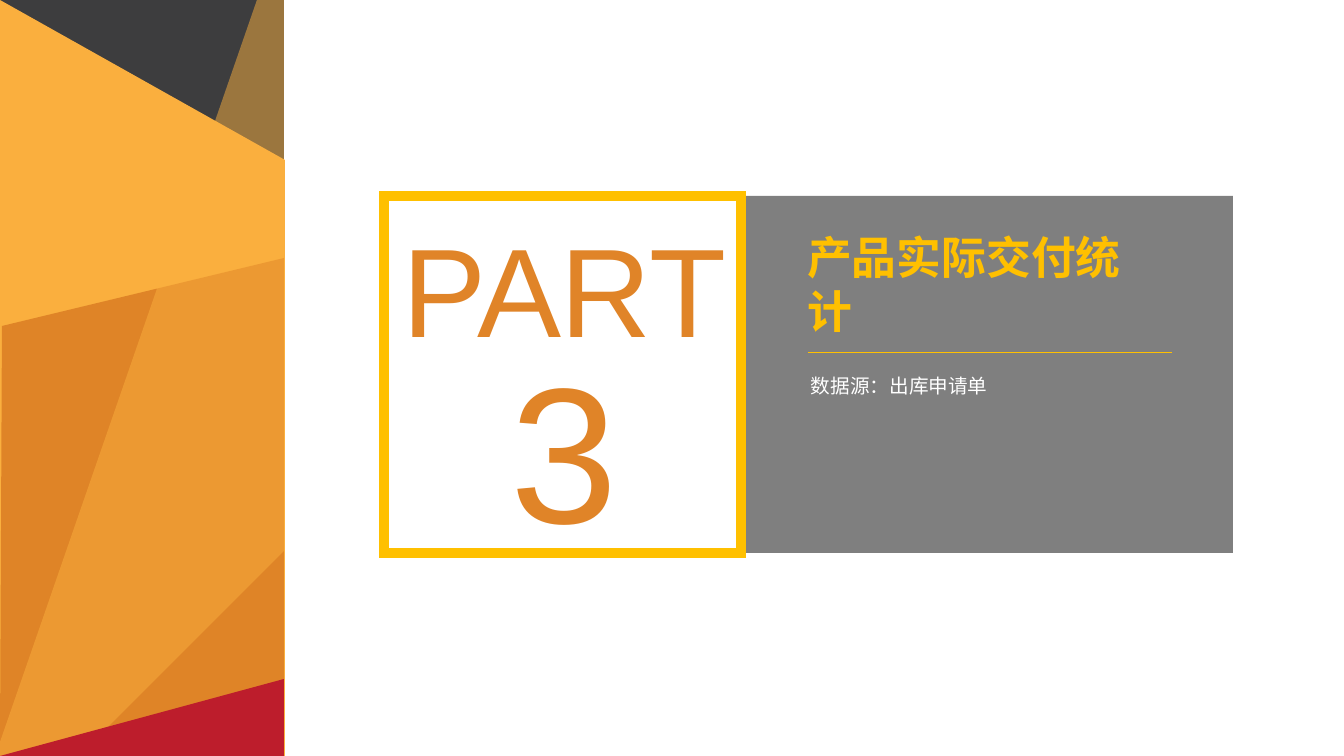
from dataclasses import dataclass

from lxml.etree import SubElement
from pptx import Presentation
from pptx.dml.color import RGBColor as RGB
from pptx.enum.shapes import MSO_CONNECTOR as CONNECTOR, MSO_SHAPE as SHAPE
from pptx.enum.text import MSO_ANCHOR as ANCHOR, MSO_AUTO_SIZE as AUTO, PP_ALIGN as ALIGN
from pptx.oxml.ns import qn
from pptx.util import Pt

PX = 914400 / 100.8  # EMU per pixel


@dataclass(frozen=True)
class Theme:
    """Colours, fonts and type sizes of the slide."""
    charcoal: str = "3D3D3E"
    amber: str = "FAAF3E"
    rust: str = "C55A11"
    crimson: str = "BD1D2C"
    gold: str = "FFC000"
    orange: str = "E08428"
    black: str = "000000"
    white: str = "FFFFFF"
    latin: str = "Arial"
    cjk: str = "Noto Sans CJK SC"
    part_size: int = 90
    number_size: int = 138
    title_size: int = 32
    note_size: int = 14


def paint(sp, color, alpha=100):
    """Fill a shape without line or shadow, at an opacity in percent."""
    sp.shadow.inherit = False
    sp.line.fill.background()
    sp.fill.solid()
    sp.fill.fore_color.rgb = RGB.from_string(color)
    if alpha < 100:
        clr = sp._element.spPr.find(".//" + qn("a:srgbClr"))
        SubElement(clr, qn("a:alpha"), val=str(alpha * 1000))


def write(sp, box, text, font, size, color, align=ALIGN.LEFT, bold=False):
    """Place a text shape, set its one paragraph and return that paragraph."""
    sp.left, sp.top, sp.width, sp.height = [round(v * PX) for v in box]
    tf = sp.text_frame
    tf.word_wrap, tf.auto_size, tf.vertical_anchor = True, AUTO.NONE, ANCHOR.TOP
    p = tf.paragraphs[0]
    p.text, p.alignment = text, align
    p.font.name, p.font.size, p.font.bold = font, Pt(size), bold
    p.font.color.rgb = RGB.from_string(color)
    SubElement(p._p.pPr.find(qn("a:defRPr")), qn("a:ea"), typeface=font)
    return p


theme = Theme()
prs = Presentation()
prs.slide_width, prs.slide_height = round(1344 * PX), round(756 * PX)
slide = prs.slides.add_slide(prs.slide_layouts[5])
shapes = slide.shapes

# Faceted band on the left, back to front
backdrop = shapes.add_shape(SHAPE.RECTANGLE, 0, 0, round(284 * PX), round(269 * PX))
paint(backdrop, theme.charcoal)
facets = [
    ([(0, 0), (285, 160), (285, 756), (0, 756)], theme.amber, 100),
    ([(284, 258), (284, 686), (0, 756), (2, 326)], theme.rust, 50),
    ([(257, 0), (284, 0), (284, 551), (79, 756), (0, 756), (0, 742)], theme.amber, 50),
    ([(0, 756), (284, 679), (284, 756)], theme.crimson, 100),
]
for points, color, alpha in facets:
    builder = shapes.build_freeform(*points[0], scale=PX)
    builder.add_line_segments(points[1:], close=True)
    paint(builder.convert_to_shape(), color, alpha)

# Grey panel with title, rule and data source
panel = shapes.add_shape(SHAPE.RECTANGLE, *[round(v * PX) for v in (741, 196, 492, 357)])
paint(panel, theme.black, 50)

title = shapes.title
shapes._spTree.append(title._element)  # bring the title in front of the panel
write(title, (797, 225, 379, 65), "产品实际交付统计", theme.cjk, theme.title_size,
      theme.gold, bold=True)

rule = shapes.add_connector(CONNECTOR.STRAIGHT, *[round(v * PX) for v in (808, 352, 1172, 352)])
rule.line.color.rgb = RGB.from_string(theme.gold)
rule.line.width = Pt(0.5)
SubElement(rule._element.spPr, qn("a:effectLst"))

p = write(shapes.add_textbox(0, 0, 0, 0), (801, 365, 389, 145), "数据源：出库申请单",
          theme.cjk, theme.note_size, theme.white)
p.line_spacing = Pt(20)

# Framed part number
frame = shapes.add_shape(SHAPE.RECTANGLE, *[round(v * PX) for v in (384, 196, 357, 357)])
frame.shadow.inherit = False
frame.fill.background()
frame.line.color.rgb = RGB.from_string(theme.gold)
frame.line.width = Pt(7)
SubElement(frame.line._get_or_add_ln(), qn("a:miter"), lim="800000")

for text, top, height, size in [("PART", 207, 163, theme.part_size),
                                ("3", 325, 244, theme.number_size)]:
    write(shapes.add_textbox(0, 0, 0, 0), (374, top, 381, height), text,
          theme.latin, size, theme.orange, ALIGN.CENTER)

prs.save("out.pptx")
